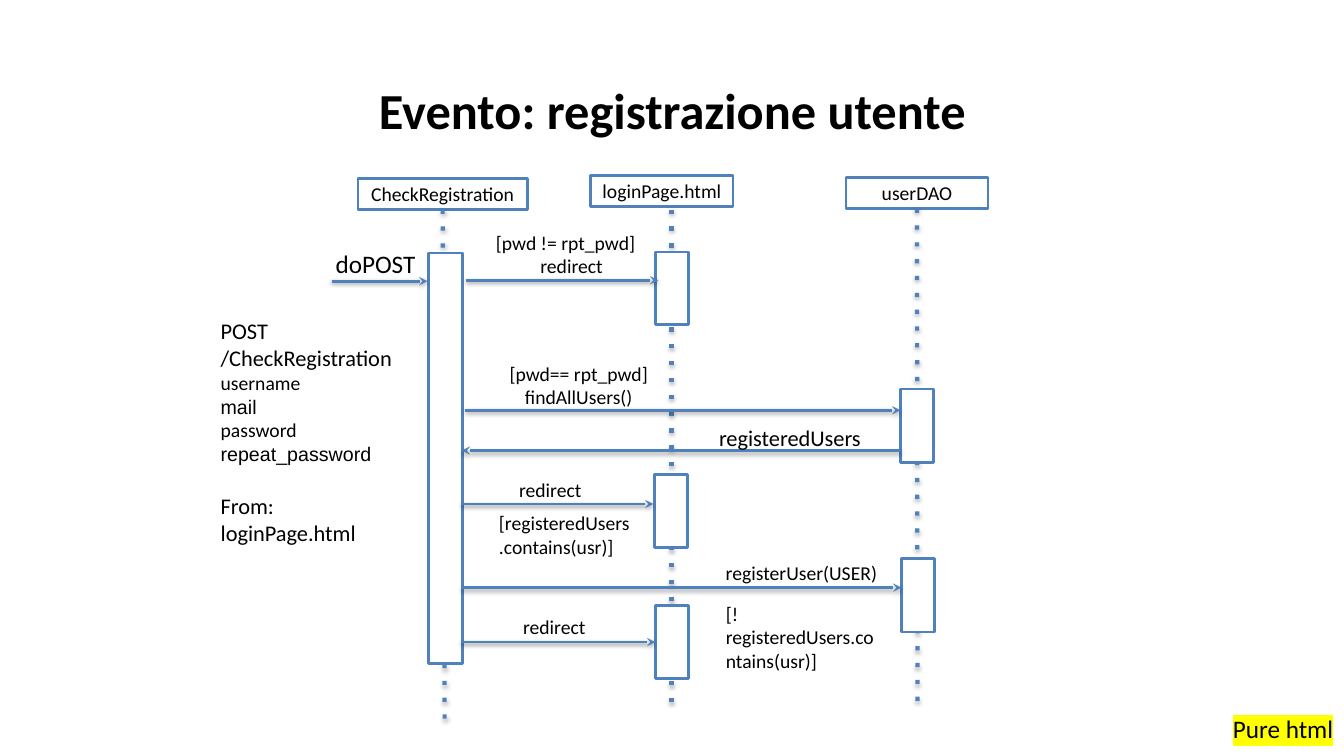
import pptx
import pptx.util
import pptx.dml.color
import pptx.enum.shapes
import pptx.enum.text
import pptx.oxml
import pptx.oxml.ns

COLOURS = {"ink": "000000", "paper": "FFFFFF", "line": "4F81BD", "marker": "FFFF00"}
COLUMNS, ROWS = 133.3, 75
LEFT = pptx.enum.text.PP_ALIGN.LEFT
CENTER = pptx.enum.text.PP_ALIGN.CENTER
RECTANGLE = pptx.enum.shapes.MSO_SHAPE.RECTANGLE
STRAIGHT = pptx.enum.shapes.MSO_CONNECTOR.STRAIGHT
NAMESPACE = pptx.oxml.ns.nsdecls("a")
CELL = pptx.util.Inches(0.1)

presentation = pptx.Presentation()
presentation.slide_width = int(COLUMNS * CELL)
presentation.slide_height = ROWS * CELL
slide = presentation.slides.add_slide(presentation.slide_layouts[5])


def cells(*counts):
    """Turn counts of grid cells into lengths."""
    return [round(count * CELL) for count in counts]


def write(shape, lines, align, **frame_format):
    """Fill a shape with paragraphs given as (text, size, font, bold, space before)."""
    frame = shape.text_frame
    for name, value in {"word_wrap": True, **frame_format}.items():
        setattr(frame, name, value)
    for index, (text, size, font_name, bold, space) in enumerate(lines):
        paragraph = frame.add_paragraph() if index else frame.paragraphs[0]
        paragraph.alignment = align
        if space:
            paragraph.space_before = pptx.util.Pt(space)
        run = paragraph.add_run()
        run.text = text
        font_format = {"name": font_name, "size": pptx.util.Pt(size), "bold": bold}
        for name, value in font_format.items():
            setattr(run.font, name, value)
        run.font.color.rgb = pptx.dml.color.RGBColor.from_string(COLOURS["ink"])


MIDDLE = {"vertical_anchor": pptx.enum.text.MSO_ANCHOR.MIDDLE}

title = slide.shapes.title
title.left, title.top, title.width, title.height = cells(9.2, 4, 115, 14.5)
write(title, [("Evento: registrazione utente", 36, "Calibri", True, 0)], CENTER, **MIDDLE)
title.text_frame.paragraphs[0].line_spacing = 0.9

# Participants: left, top, width, height, name
headers = [
    (35.5, 17.7, 16.8, 3.1, "CheckRegistration"),
    (58.6, 17.4, 14.1, 3.1, "loginPage.html"),
    (83.9, 17.6, 14.1, 3.1, "userDAO"),
]
# Activation bars: left, top, width, height, no name
bars = [
    (42.5, 25.1, 3.4, 40.7, ""),
    (65, 25, 3.3, 7.2, ""),
    (64.9, 47.1, 3.3, 7.2, ""),
    (65, 60.1, 3.3, 7.2, ""),
    (89.3, 38.6, 3.3, 7.3, ""),
    (89.4, 55.4, 3.3, 7.3, ""),
]
boxes = []
for left, top, width, height, name in headers + bars:
    box = slide.shapes.add_shape(RECTANGLE, *cells(left, top, width, height))
    box.shadow.inherit = False
    box.fill.solid()
    box.fill.fore_color.rgb = pptx.dml.color.RGBColor.from_string(COLOURS["paper"])
    box.line.color.rgb = pptx.dml.color.RGBColor.from_string(COLOURS["line"])
    box.line.width = pptx.util.Pt(2)
    if name:
        write(box, [(name, 14, "Calibri", False, 0)], CENTER, **MIDDLE)
    boxes.append(box)
check_header, login_header, dao_header = boxes[:3]
last_login_bar = boxes[6]

# Lines: start x, start y, end x, end y, header joined at start, bar joined at end
lifelines = [
    (44, 20.7, 44.1, 71.4, check_header, None),
    (66.6, 20.8, 66.6, 70, None, None),
    (91, 20.7, 91, 70.7, dao_header, None),
]
messages = [
    (32.9, 27.9, 42.4, 27.9, None, None),
    (46.2, 27.8, 65.3, 27.8, None, None),
    (46.1, 40.7, 89.3, 40.7, None, None),
    (89.3, 44.7, 45.8, 44.7, None, None),
    (45.7, 50, 64.8, 50, None, None),
    (45.7, 58.3, 89.4, 58.3, None, None),
    (45.7, 63.7, 64.8, 63.7, None, last_login_bar),
]
for start_x, start_y, end_x, end_y, header, bar in lifelines + messages:
    connector = slide.shapes.add_connector(STRAIGHT, *cells(start_x, start_y, end_x, end_y))
    if header:
        connector.begin_connect(header, 2)
    if bar:
        connector.end_connect(bar, 1)
    is_lifeline = start_y < 21
    connector.line.color.rgb = pptx.dml.color.RGBColor.from_string(COLOURS["line"])
    connector.line.width = pptx.util.Pt(3 if is_lifeline else 2)
    line_style = 'prstDash {} val="dot"' if is_lifeline else 'tailEnd {} type="stealth"'
    connector.get_or_add_ln().append(
        pptx.oxml.parse_xml(f"<a:{line_style.format(NAMESPACE)}/>"))
    distance, alpha = (22860, 35000) if is_lifeline else (20320, 38000)
    shadow = pptx.oxml.parse_xml(
        f'<a:effectLst {NAMESPACE}><a:outerShdw blurRad="39370" dist="{distance}" '
        f'dir="5400000" rotWithShape="0"><a:srgbClr val="{COLOURS["ink"]}">'
        f'<a:alpha val="{alpha}"/></a:srgbClr></a:outerShdw></a:effectLst>')
    connector._element.spPr.append(shadow)

# Bring the bars in front of the lifelines but behind the messages
first_message = slide.shapes[-len(messages)]._element
for bar in boxes[len(headers):]:
    first_message.addprevious(bar._element)

# Labels: left, top, width, height, size, alignment, lines
labels = [
    (32.3, 24.1, 10, 3, 18, LEFT, ["doPOST"]),
    (45.8, 35.4, 23.2, 6.7, 14, CENTER, ["[pwd== rpt_pwd]", "findAllUsers()"]),
    (62.7, 41.6, 31.3, 2.8, 16, CENTER, ["registeredUsers"]),
    (50.5, 46.9, 12.4, 3, 14, LEFT, ["redirect"]),
    (48.5, 50.2, 15.2, 6.6, 14, LEFT, ["[registeredUsers.contains(usr)]"]),
    (71, 55.2, 18, 3, 14, LEFT, ["registerUser(USER)"]),
    (71, 59.2, 16.9, 6.6, 14, LEFT, ["[!registeredUsers.contains(usr)]"]),
    (50.9, 60.5, 12.4, 3, 14, LEFT, ["redirect"]),
]
for left, top, width, height, size, align, lines in labels:
    label = slide.shapes.add_textbox(*cells(left, top, width, height))
    write(label, [(line, size, "Calibri", False, 0) for line in lines], align)

mismatch = slide.shapes.add_textbox(*cells(48.2, 22.4, 17, 3))
write(mismatch, [(line, 14, "Calibri", False, 0) for line in ("[pwd != rpt_pwd]", "redirect")], LEFT)
mismatch.text_frame.paragraphs[1].alignment = CENTER

request = slide.shapes.add_textbox(*cells(20.9, 31, 20, 23.1))
write(request, [
    ("POST", 16, "Calibri", False, 0),
    ("/CheckRegistration", 16, "Calibri", False, 0),
    ("username", 14, "Calibri", False, 0),
    ("mail", 14, "Arial", False, 0),
    ("password", 14, "Calibri", False, 0),
    ("repeat_password", 14, "Arial", False, 0),
    ("From: loginPage.html", 16, "Calibri", False, 19.5),
], LEFT)

page_kind = slide.shapes.add_textbox(*cells(121.3, 70.3, 12.1, 4))
write(page_kind, [("Pure html", 18, "Calibri", False, 0)], LEFT, word_wrap=False)
run_properties = page_kind.text_frame.paragraphs[0].runs[0].font._element
highlight = pptx.oxml.parse_xml(
    f'<a:highlight {NAMESPACE}><a:srgbClr val="{COLOURS["marker"]}"/></a:highlight>')
run_properties.find(pptx.oxml.ns.qn("a:solidFill")).addnext(highlight)

presentation.save("out.pptx")
